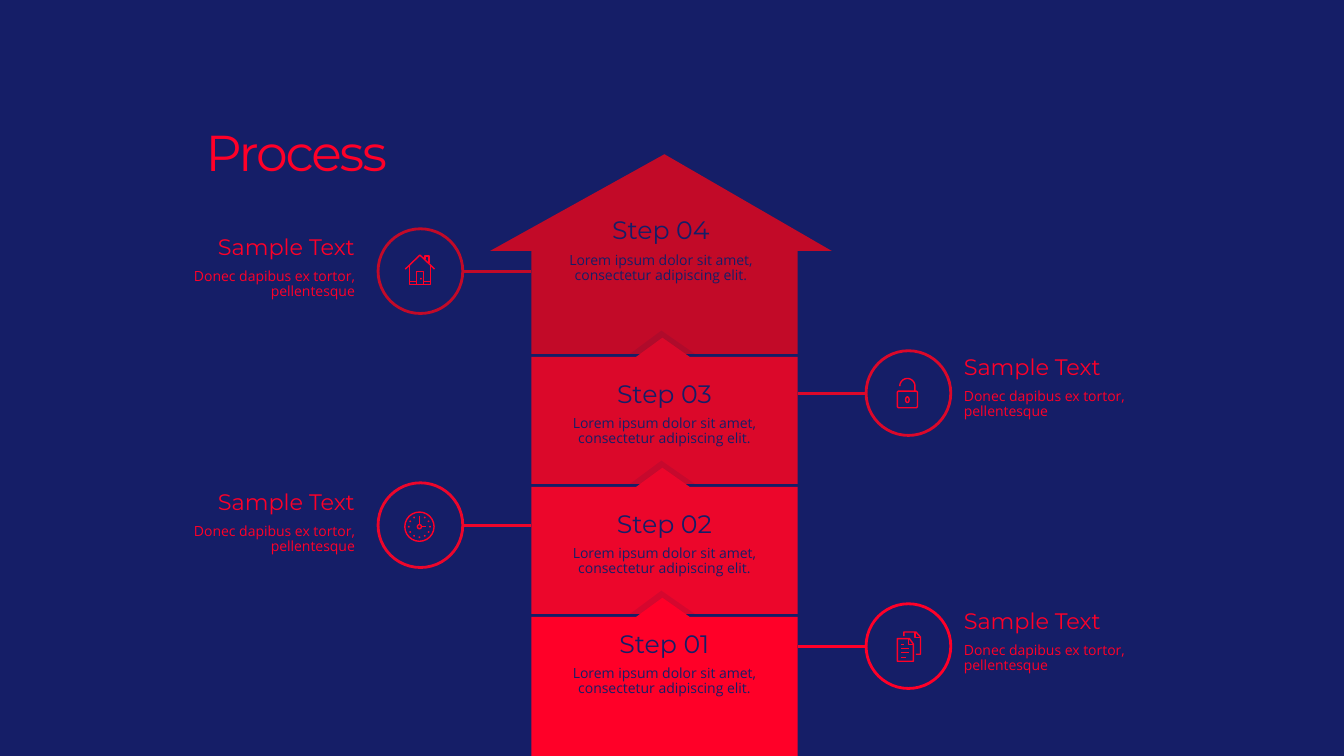
import math

from lxml import etree
from pptx import Presentation
from pptx.dml.color import RGBColor
from pptx.enum.shapes import MSO_CONNECTOR, MSO_SHAPE
from pptx.enum.text import MSO_ANCHOR, MSO_AUTO_SIZE, PP_ALIGN
from pptx.oxml.ns import qn
from pptx.util import Inches, Pt

LEFT, CENTER, RIGHT = PP_ALIGN.LEFT, PP_ALIGN.CENTER, PP_ALIGN.RIGHT
TOP = MSO_ANCHOR.TOP
NO_FIT, GROW = MSO_AUTO_SIZE.NONE, MSO_AUTO_SIZE.SHAPE_TO_FIT_TEXT
OVAL, STRAIGHT = MSO_SHAPE.OVAL, MSO_CONNECTOR.STRAIGHT

NAVY, SHADE, RED = "151E67", "10164D", "FF0028"
HEADING_FONT, BODY_FONT = "Montserrat", "Open Sans"
STEP_TEXT = "Lorem ipsum dolor sit amet, consectetur adipiscing elit."
CALLOUT_TEXT = "Donec dapibus ex tortor, pellentesque"

# Column of steps
COLUMN_LEFT, COLUMN_RIGHT = 5.27, 7.91
FIRST_BLOCK_TOP, BLOCK_PITCH, BLOCK_GAP = 3.54, 1.29, 0.03
ARROW = [(8.25, 2.49), (6.59, 1.53), (4.86, 2.49), (5.27, 2.49),
         (5.27, 3.51), (7.91, 3.51), (7.91, 2.49)]
# Name, colour, bottom edge, top inset
BLOCKS = [("Step 03", "DB082A", 4.8, 0.4),
          ("Step 02", "EC062B", 6.09, 0.4),
          ("Step 01", RED, 7.65, 0.3)]

# Side, centre height, label top, colour
CIRCLE = 0.84
CALLOUTS = [("left", 2.69, 2.3, "C20A28"),
            ("left", 5.21, 4.83, "EC062B"),
            ("right", 3.9, 3.49, "DB082A"),
            ("right", 6.41, 6.01, RED)]


def color(value):
    return RGBColor.from_string(value)


def arc(x, y, radius_x, radius_y, start=0, end=360):
    angles = [math.radians(start + (end - start) * i / 24) for i in range(25)]
    return [(x + radius_x * math.cos(a), y + radius_y * math.sin(a)) for a in angles]


def dot(x, y):
    return arc(x, y, 0.2, 0.2)


# Icon strokes, in hundredths of an inch from the icon's corner
HOUSE = [
    [(1, 15), (15.5, 1), (30, 15)],
    [(5, 12), (5, 30), (26, 30), (26, 12)],
    [(12, 30), (12, 17.5), (19, 17.5), (19, 30)],
    [(20.5, 5), (20.5, 2), (24.5, 2), (24.5, 9)],
    [(5, 27), (12, 27)],
    [(19, 27), (26, 27)],
    dot(16.5, 24.5),
]
CLOCK = [
    arc(15, 15.5, 14.5, 14.5),
    arc(15, 15.5, 2, 2),
    [(15, 4.5), (15, 13.5)],
    [(17, 15.5), (21.5, 15.5)],
] + [dot(15 + 10.5 * math.cos(math.pi * hour / 6),
         15.5 + 10.5 * math.sin(math.pi * hour / 6))
     for hour in range(12) if hour != 9]
LOCK = [
    [(2, 13), (20, 13), (21, 14), (21, 28.5), (20, 29.5), (2, 29.5),
     (1, 28.5), (1, 14), (2, 13)],
    arc(11, 8, 7.5, 7.5, 180, 360) + [(18.5, 13)],
    arc(11, 21.5, 1.7, 2.8),
]
DOCUMENTS = [
    [(1, 7.5), (13, 7.5), (17, 13), (17, 30), (1, 30), (1, 7.5)],
    [(12, 7.5), (12, 13.5), (17, 13.5)],
    [(7.5, 5), (7.5, 1), (19.5, 1), (24, 6), (24, 23), (19.5, 23)],
    [(18.5, 1), (18.5, 6.5), (24, 6.5)],
] + [[(4.5, y), (x, y)] for x, y in [(7.5, 13.5), (13, 17.5), (13, 21.5), (10, 26)]]
ICONS = [(4.01, 2.52, HOUSE), (4.01, 5.07, CLOCK),
         (8.89, 3.75, LOCK), (8.89, 6.26, DOCUMENTS)]


def add_outline(slide, contours, close):
    """Build one freeform from lists of points in inches."""
    contours = [[(Inches(x), Inches(y)) for x, y in points] for points in contours]
    builder = slide.shapes.build_freeform(*contours[0][0])
    for index, points in enumerate(contours):
        if index:
            builder.move_to(*points[0])
        builder.add_line_segments(points[1:], close=close)
    shape = builder.convert_to_shape()
    shape.shadow.inherit = False
    return shape


def add_filled(slide, points, fill, opacity=None):
    shape = add_outline(slide, [points], True)
    shape.fill.solid()
    shape.fill.fore_color.rgb = color(fill)
    shape.line.fill.background()
    if opacity is not None:
        fill_color = next(shape.fill._xPr.iter(qn("a:srgbClr")))
        etree.SubElement(fill_color, qn("a:alpha")).set("val", str(opacity * 1000))
    return shape


def set_stroke(shape, stroke, width):
    shape.line.color.rgb = color(stroke)
    shape.line.width = Pt(width)


def format_frame(frame, insets, auto_size=NO_FIT):
    sides = ("margin_left", "margin_top", "margin_right", "margin_bottom")
    settings = dict(zip(sides, map(Inches, insets)))
    settings.update(word_wrap=True, auto_size=auto_size, vertical_anchor=TOP)
    for name, value in settings.items():
        setattr(frame, name, value)


def write(paragraph, text, size, font, text_color, **layout):
    for name, value in layout.items():
        setattr(paragraph, name, value)
    run = paragraph.add_run()
    run.text = text
    for name, value in {"size": Pt(size), "name": font, "bold": False}.items():
        setattr(run.font, name, value)
    run.font.color.rgb = color(text_color)
    return run


def write_pair(frame, heading, size, body, text_color, align, spacing):
    """Write a heading and the body text below it."""
    write(frame.paragraphs[0], heading, size, HEADING_FONT, text_color,
          alignment=align, line_spacing=spacing[0], space_before=Pt(0))
    write(frame.add_paragraph(), body, 10, BODY_FONT, text_color,
          alignment=align, line_spacing=spacing[1], space_before=Pt(6))


def add_step(slide, name, points, fill, insets):
    shape = add_filled(slide, points, fill)
    format_frame(shape.text_frame, insets)
    write_pair(shape.text_frame, name, 18, STEP_TEXT, NAVY, CENTER, (1.0, 0.9))


def add_block(slide, index, name, fill, bottom, inset):
    top = FIRST_BLOCK_TOP + index * BLOCK_PITCH
    base = top - BLOCK_GAP
    add_filled(slide, [(6.89, base), (6.56, base - 0.23), (6.25, base)], SHADE, 10)
    points = [(6.84, top), (6.57, top - 0.19), (6.31, top), (COLUMN_LEFT, top),
              (COLUMN_LEFT, bottom), (COLUMN_RIGHT, bottom), (COLUMN_RIGHT, top)]
    add_step(slide, name, points, fill, (0.1, inset, 0.1, 0.05))


def add_callout(slide, side, center, label_top, stroke):
    if side == "left":
        circle_left, label_left, align = 3.75, 1.21, RIGHT
        start, end = COLUMN_LEFT, circle_left + CIRCLE
    else:
        circle_left, label_left, align = 8.59, 9.43, LEFT
        start, end = circle_left, COLUMN_RIGHT
    circle = slide.shapes.add_shape(OVAL, Inches(circle_left), Inches(center - CIRCLE / 2),
                                    Inches(CIRCLE), Inches(CIRCLE))
    circle.shadow.inherit = False
    circle.fill.background()
    set_stroke(circle, stroke, 2)

    connector = slide.shapes.add_connector(STRAIGHT, Inches(start), Inches(center),
                                           Inches(end), Inches(center))
    set_stroke(connector, stroke, 2)
    etree.SubElement(connector._element.spPr, qn("a:effectLst"))

    label = slide.shapes.add_textbox(Inches(label_left), Inches(label_top),
                                     Inches(2.44), Inches(0.74))
    format_frame(label.text_frame, (0.13, 0.05, 0.13, 0.07), GROW)
    write_pair(label.text_frame, "Sample Text", 16, CALLOUT_TEXT, RED, align, (0.89, 0.89))


def add_icon(slide, left, top, strokes):
    contours = [[(left + x / 100, top + y / 100) for x, y in points] for points in strokes]
    icon = add_outline(slide, contours, False)
    icon.fill.background()
    set_stroke(icon, RED, 1)


def set_title(slide, text):
    title = slide.shapes.title
    box = {"left": 2.04, "top": 1.11, "width": 4.62, "height": 1.77}
    for name, value in box.items():
        setattr(title, name, Inches(value))
    format_frame(title.text_frame, (0, 0.21, 0, 0))
    run = write(title.text_frame.paragraphs[0], text, 36, HEADING_FONT, RED,
                alignment=LEFT, line_spacing=0.8, space_before=Pt(0))
    run.font._element.set("spc", "-150")


def main():
    presentation = Presentation()
    presentation.slide_width, presentation.slide_height = Inches(13.33), Inches(7.5)
    slide = presentation.slides.add_slide(presentation.slide_layouts[5])
    slide.background.fill.solid()
    slide.background.fill.fore_color.rgb = color(NAVY)

    set_title(slide, "Process")
    add_step(slide, "Step 04", ARROW, "C20A28", (0.5, 0.6, 0.5, 0.05))
    for index, block in enumerate(BLOCKS):
        add_block(slide, index, *block)
    for callout in CALLOUTS:
        add_callout(slide, *callout)
    for icon in ICONS:
        add_icon(slide, *icon)
    presentation.save("out.pptx")


if __name__ == "__main__":
    main()
